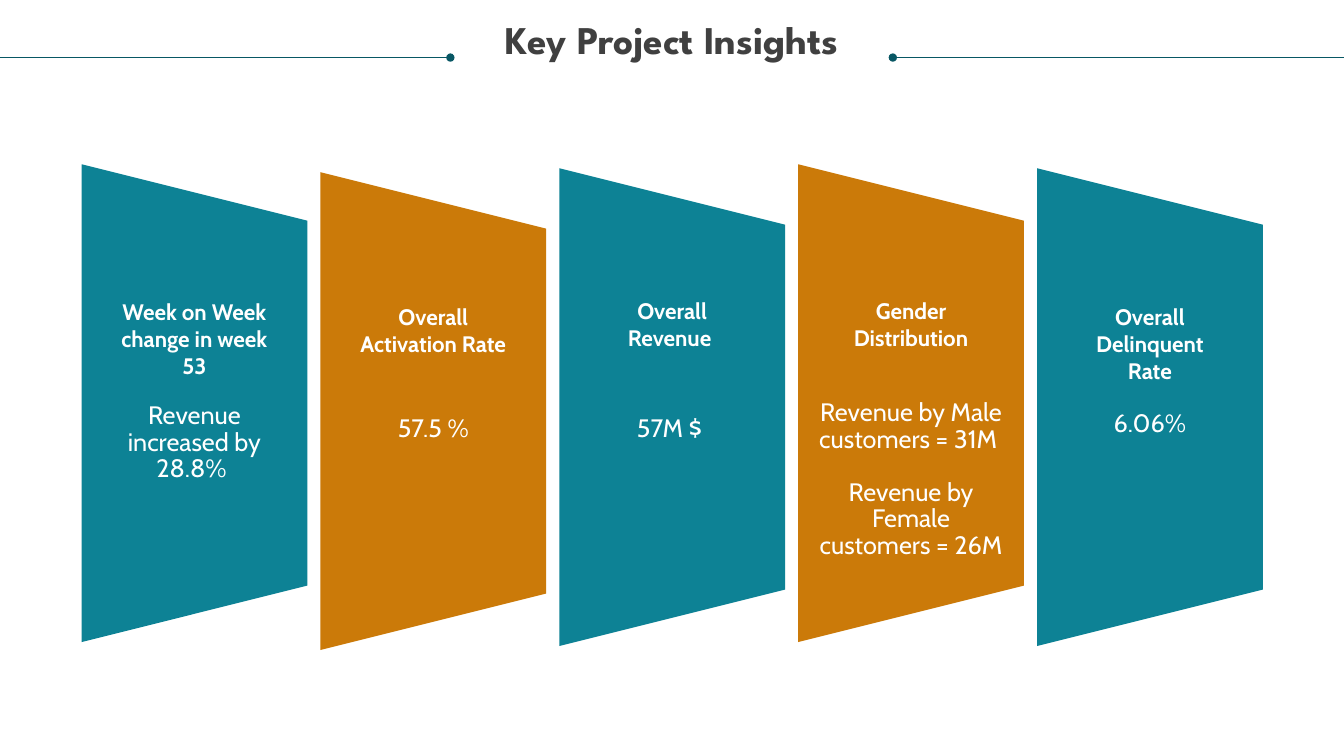
from lxml.etree import SubElement
from pptx import Presentation
from pptx.dml.color import RGBColor
from pptx.enum.shapes import MSO_CONNECTOR as Connector, MSO_SHAPE as Shape
from pptx.enum.text import MSO_ANCHOR as Anchor, MSO_AUTO_SIZE as AutoSize, PP_ALIGN as Align
from pptx.oxml.ns import qn
from pptx.util import Cm, Pt

PAGE_WIDTH, PAGE_HEIGHT = 33.87, 19.05
TEAL, ORANGE, RULE, DARK, WHITE = "0D8295", "CB7A09", "085764", "404040", "FFFFFF"
PANEL_LENGTH, PANEL_WIDTH = 12.04, 5.69
FIRST_CENTER, PANEL_STEP = 4.9, 6.02
HEADING_WIDTH, VALUE_WIDTH, LINE_HEIGHT = 3.81, 4.88, 0.68

# Each insight: panel middle, heading, its top and lines, value paragraphs, their top and lines.
INSIGHTS = [
    (10.16, "Week on Week change in week 53", 7.52, 3, ["Revenue increased by 28.8% "], 10.16, 3),
    (10.36, "Overall Activation Rate", 7.65, 2, ["57.5 %"], 10.49, 1),
    (10.26, "Overall Revenue ", 7.49, 2, ["57M $ "], 10.49, 1),
    (10.16, "Gender Distribution", 7.49, 2,
     ["Revenue by Male customers = 31M ", "Revenue by Female customers = 26M"], 10.08, 6),
    (10.26, "Overall Delinquent Rate", 7.65, 3, ["6.06%"], 10.36, 1),
]


def color(value):
    """Turn a hex string into a colour."""
    return RGBColor.from_string(value)


def fill_frame(frame, texts, font_name, size, hex_color, bold, spacing=None, gap=0):
    """Write centred paragraphs into a text frame without margins."""
    frame.margin_left = frame.margin_right = frame.margin_top = frame.margin_bottom = 0
    frame.word_wrap = True
    frame.vertical_anchor = Anchor.TOP
    for index, text in enumerate(texts):
        para = frame.add_paragraph() if index else frame.paragraphs[0]
        para.text = text
        para.alignment = Align.CENTER
        para.line_spacing = spacing
        para.space_before = Pt(gap if index else 0)
        para.font.name = font_name
        para.font.size = Pt(size)
        para.font.bold = bold
        para.font.color.rgb = color(hex_color)


def set_title(page, text):
    """Place and format the slide title."""
    title = page.shapes.title
    title.left, title.top, title.width, title.height = Cm(0.64), Cm(0.53), Cm(32.59), Cm(2.16)
    fill_frame(title.text_frame, [text], "League Spartan", 28, DARK, True, 0.9)
    title.text_frame.auto_size = AutoSize.NONE


def add_rule(page, edge, dot):
    """Draw a thin line from the page edge to a round end."""
    rule = page.shapes.add_connector(Connector.STRAIGHT, Cm(edge), Cm(1.45), Cm(dot), Cm(1.45))
    rule.line.color.rgb = color(RULE)
    rule.line.width = Pt(0.5)
    SubElement(rule.line._get_or_add_ln(), qn("a:tailEnd"), type="oval")
    SubElement(rule._element.spPr, qn("a:effectLst"))


def add_panel(page, center, middle, hex_color):
    """Draw a trapezoid turned so that its long side is on the left."""
    panel = page.shapes.add_shape(
        Shape.TRAPEZOID, Cm(center - PANEL_LENGTH / 2), Cm(middle - PANEL_WIDTH / 2),
        Cm(PANEL_LENGTH), Cm(PANEL_WIDTH))
    panel.rotation = 90
    panel.shadow.inherit = False
    panel.fill.solid()
    panel.fill.fore_color.rgb = color(hex_color)
    panel.line.fill.background()


def add_label(page, center, top, width, lines, texts, size, bold, spacing=None):
    """Add white text centred on a panel."""
    box = page.shapes.add_textbox(
        Cm(center - width / 2), Cm(top), Cm(width), Cm(lines * LINE_HEIGHT))
    fill_frame(box.text_frame, texts, "Cabin", size, WHITE, bold, spacing, gap=19)
    box.text_frame.auto_size = AutoSize.SHAPE_TO_FIT_TEXT


def main():
    """Build and save the deck."""
    deck = Presentation()
    deck.slide_width, deck.slide_height = Cm(PAGE_WIDTH), Cm(PAGE_HEIGHT)
    page = deck.slides.add_slide(deck.slide_layouts.get_by_name("Title Only"))
    set_title(page, "Key Project Insights")
    add_rule(page, 0, 11.35)
    add_rule(page, PAGE_WIDTH, 22.5)
    for index, insight in enumerate(INSIGHTS):
        middle, heading, heading_top, heading_lines, values, value_top, value_lines = insight
        center = FIRST_CENTER + index * PANEL_STEP
        add_panel(page, center, middle, ORANGE if index % 2 else TEAL)
        add_label(page, center, heading_top, HEADING_WIDTH, heading_lines, [heading], 16, True)
        add_label(page, center, value_top, VALUE_WIDTH, value_lines, values, 18, False, Pt(19))
    deck.save("out.pptx")


if __name__ == "__main__":
    main()
